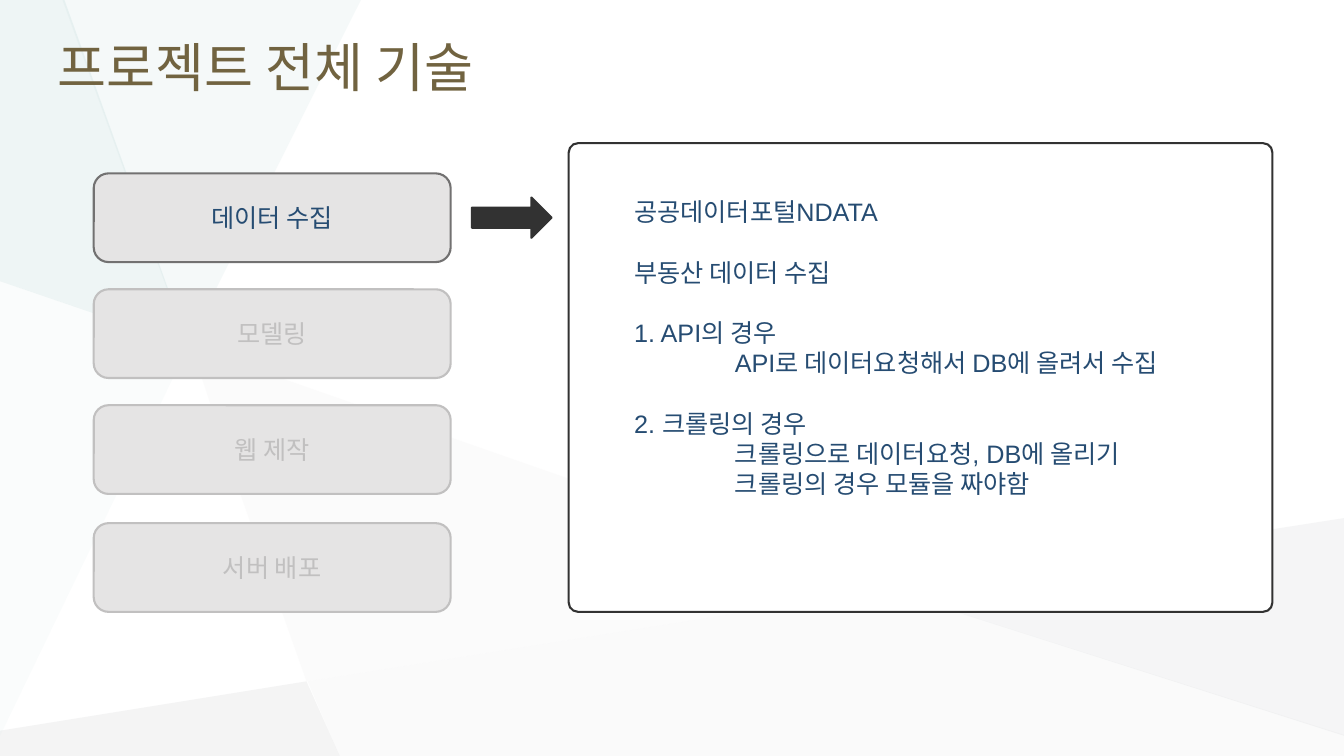
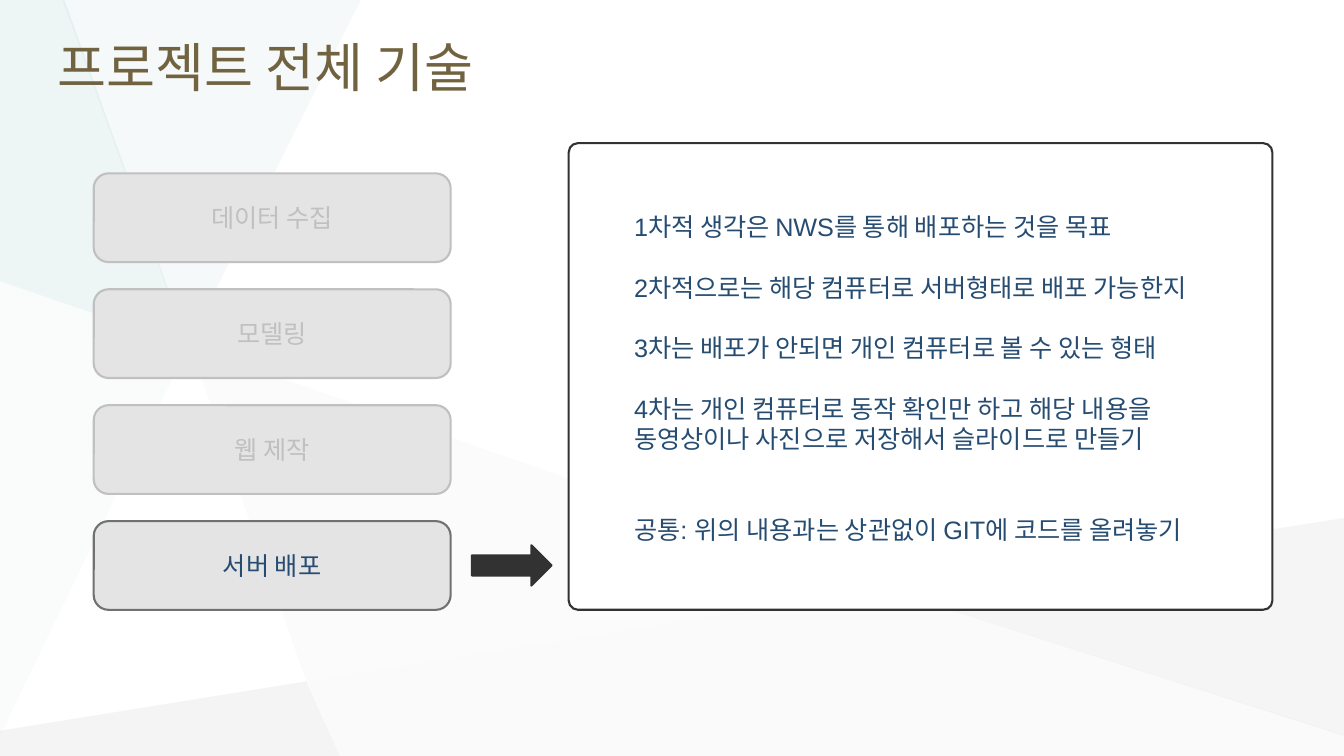
from lxml import etree
from pptx import Presentation
from pptx.dml.color import RGBColor
from pptx.enum.shapes import MSO_SHAPE
from pptx.enum.text import MSO_ANCHOR, PP_ALIGN
from pptx.oxml.ns import qn
from pptx.util import Inches, Pt

ROUND_RECT, RIGHT_ARROW = MSO_SHAPE.ROUNDED_RECTANGLE, MSO_SHAPE.RIGHT_ARROW
LEFT, CENTER = PP_ALIGN.LEFT, PP_ALIGN.CENTER
TOP, MIDDLE = MSO_ANCHOR.TOP, MSO_ANCHOR.MIDDLE

FONT = "Arial"
BROWN, NAVY, DARK, WHITE = "716340", "264C72", "323232", "FFFFFF"
BOX_FILL, ACTIVE_LINE, FADED = "E5E4E4", "727171", "C1C0C0"

TITLE = "프로젝트 전체 기술"
STEPS = ["데이터 수집", "모델링", "웹 제작", "서버 배포"]

SLIDES = [
    {"active": 0, "last_top": 5.19, "text_top": 1.9, "lines": [
        ("공공데이터포털NDATA", 0, 0),
        ("부동산 데이터 수집", 1, 0),
        ("1. API의 경우", 1, 0),
        ("API로 데이터요청해서 DB에 올려서 수집", 0, 1),
        ("2. 크롤링의 경우", 1, 0),
        ("크롤링으로 데이터요청, DB에 올리기", 0, 1),
        ("크롤링의 경우 모듈을 짜야함", 0, 1),
    ]},
    {"active": 3, "last_top": 5.17, "text_top": 2.05, "lines": [
        ("1차적 생각은 NWS를 통해 배포하는 것을 목표", 0, 0),
        ("2차적으로는 해당 컴퓨터로 서버형태로 배포 가능한지", 1, 0),
        ("3차는 배포가 안되면 개인 컴퓨터로 볼 수 있는 형태", 1, 0),
        ("4차는 개인 컴퓨터로 동작 확인만 하고 해당 내용을", 1, 0),
        ("동영상이나 사진으로 저장해서 슬라이드로 만들기", 0, 0),
        ("공통: 위의 내용과는 상관없이 GIT에 코드를 올려놓기", 2, 0),
    ]},
]

FACETS = [
    ("F3F2F2", 26, [(1.9, 3.44), (2.33, 4.75), (3.04, 6.76), (8.79, 5.85)]),
    ("B6B8BA", 15, [(3.04, 6.76), (0, 7.25), (0, 7.5), (3.37, 7.5)]),
    ("E0EDED", 31, [(3.58, 0), (0.62, 0), (1.86, 3.43)]),
    ("C6C8CA", 17, [(13.33, 5.14), (8.79, 5.85), (13.33, 7.3)]),
    ("B6B8BA", 6, [(8.79, 5.85), (3.05, 6.76), (3.37, 7.5), (13.33, 7.5), (13.33, 7.29)]),
    ("C1DBDB", 27, [(0.64, 0), (0, 0), (0, 2.79), (1.87, 3.43)]),
    ("C1DBDB", 8, [(0, 2.79), (0, 7.3), (1.87, 3.43)]),
]

BOX_LEFT, BOX_TOP, BOX_W, BOX_H, BOX_PITCH = 0.93, 1.72, 3.54, 0.88, 1.15
PANEL_LEFT, PANEL_TOP, PANEL_W = 5.64, 1.42, 6.98
ARROW_LEFT, ARROW_W, ARROW_H = 4.68, 0.79, 0.4
LINE_PT = 21.6


def rgb(value):
    return RGBColor.from_string(value)


def style_font(p, size, color):
    p.font.name, p.font.size = FONT, Pt(size)
    p.font.color.rgb = rgb(color)


def add_preset(s, kind, x, y, w, h, fill, line):
    sp = s.shapes.add_shape(kind, Inches(x), Inches(y), Inches(w), Inches(h))
    sp.shadow.inherit = False
    sp.fill.solid()
    sp.fill.fore_color.rgb = rgb(fill)
    sp.line.color.rgb = rgb(line)
    sp.line.width = Pt(1.5)
    return sp


def add_facet(s, color, opacity, points):
    points = [(Inches(x), Inches(y)) for x, y in points]
    builder = s.shapes.build_freeform(*points[0])
    builder.add_line_segments(points[1:], close=True)
    sp = builder.convert_to_shape()
    sp.shadow.inherit = False
    sp.line.fill.background()
    sp.fill.solid()
    sp.fill.fore_color.rgb = rgb(color)
    clr = sp.element.spPr.find(".//" + qn("a:srgbClr"))
    etree.SubElement(clr, qn("a:alpha")).set("val", str(opacity * 1000))
    return sp


def set_up_layout(layout, s):
    title = layout.placeholders[0]
    title.left, title.top = Inches(0.47), Inches(0.14)
    title.width, title.height = Inches(12.36), Inches(1.03)
    for i, facet in enumerate(FACETS):
        layout.shapes.element.insert(2 + i, add_facet(s, *facet).element)


def add_title(s):
    tf = s.shapes.title.text_frame
    tf.text = TITLE
    tf.vertical_anchor = MIDDLE
    p = tf.paragraphs[0]
    p.alignment = LEFT
    style_font(p, 38, BROWN)


def add_steps(s, active, tops):
    for i, (label, top) in enumerate(zip(STEPS, tops)):
        line, color = (ACTIVE_LINE, NAVY) if i == active else (FADED, FADED)
        sp = add_preset(s, ROUND_RECT, BOX_LEFT, top, BOX_W, BOX_H, BOX_FILL, line)
        tf = sp.text_frame
        tf.text = label
        tf.vertical_anchor = MIDDLE
        p = tf.paragraphs[0]
        p.alignment = CENTER
        style_font(p, 18, color)


def add_details(s, top, lines):
    box = s.shapes.add_textbox(Inches(6.19), Inches(top), Inches(5.89), Inches(3.7))
    tf = box.text_frame
    tf.word_wrap = True
    tf.vertical_anchor = TOP
    for i, (text, gap, indent) in enumerate(lines):
        p = tf.add_paragraph() if i else tf.paragraphs[0]
        p.text = text
        p.space_before = Pt(gap * LINE_PT)
        p._p.get_or_add_pPr().set("marL", str(Inches(indent)))
        style_font(p, 18, NAVY)


def add_content(s, data):
    tops = [BOX_TOP + BOX_PITCH * i for i in range(len(STEPS) - 1)] + [data["last_top"]]
    add_title(s)
    add_steps(s, data["active"], tops)
    panel = add_preset(s, ROUND_RECT, PANEL_LEFT, PANEL_TOP, PANEL_W,
                       tops[-1] + BOX_H - PANEL_TOP, WHITE, DARK)
    panel.adjustments[0] = 0.02
    arrow_top = tops[data["active"]] + (BOX_H - ARROW_H) / 2
    add_preset(s, RIGHT_ARROW, ARROW_LEFT, arrow_top, ARROW_W, ARROW_H, DARK, DARK)
    add_details(s, data["text_top"], data["lines"])


def main():
    prs = Presentation()
    prs.slide_width, prs.slide_height = Inches(13.33), Inches(7.5)
    layout = prs.slide_layouts[5]
    slides = [prs.slides.add_slide(layout) for _ in SLIDES]
    set_up_layout(layout, slides[0])
    for s, data in zip(slides, SLIDES):
        add_content(s, data)
    prs.save("out.pptx")


if __name__ == "__main__":
    main()
